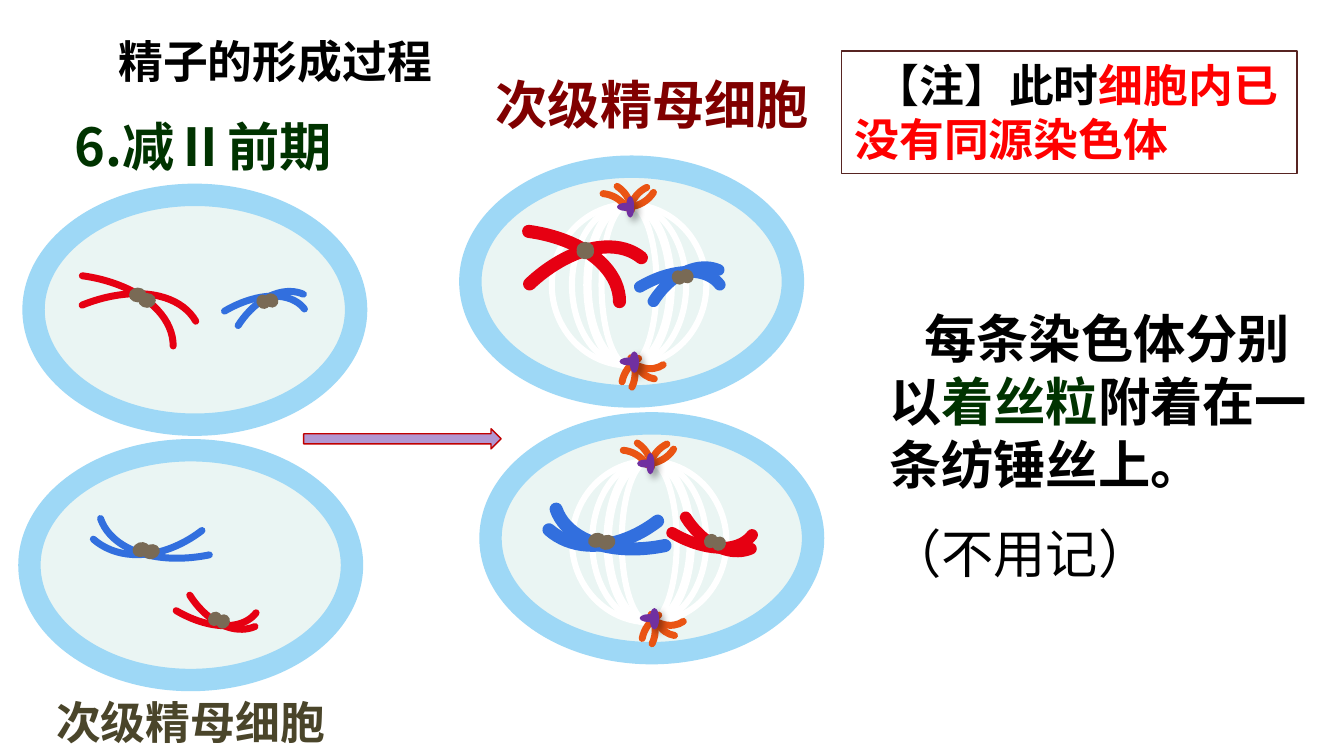
from dataclasses import dataclass

from pptx import Presentation
from pptx.dml.color import RGBColor as RGB
from pptx.enum.shapes import MSO_SHAPE as Preset
from pptx.enum.text import MSO_ANCHOR as Anchor, MSO_AUTO_SIZE as AutoSize, PP_ALIGN as Align
from pptx.oxml import parse_xml
from pptx.oxml.ns import nsdecls, qn
from pptx.util import Pt


@dataclass(frozen=True)
class Theme:
    font: str = "Noto Sans CJK SC"
    small: int = 24
    large: int = 28
    black: str = "000000"
    green: str = "003300"
    olive: str = "4A452A"
    maroon: str = "800000"
    alert: str = "FF0000"
    frame: str = "572422"
    cytoplasm: str = "EAF5F3"
    membrane: str = "9ED8F6"
    fiber: str = "FFFFFF"
    aster: str = "EA5413"
    centriole: str = "7030A0"
    centromere: str = "796A55"
    red: str = "E60012"
    blue: str = "326FDE"
    arrow: str = "B197D2"
    arrow_edge: str = "C00000"


@dataclass(frozen=True)
class Part:
    """A piece placed relative to its owner, in points."""
    x: float
    y: float
    w: float
    h: float
    turn: float = 0
    flip: str = ""
    shadow: bool = False


@dataclass(frozen=True)
class Chromosome:
    """Two chromatid arcs and two centromere dots, measured from the first dot."""
    arms: tuple
    dots: tuple


@dataclass(frozen=True)
class Run:
    text: str
    color: str
    bold: bool = True


T = Theme()
ARM_SPAN = (173.631, 0)
ASTER_SPAN = (165.264, 196.344)
CELL_W, CELL_H = 172.8, 123.1
SPINDLE_X = 85

# Chromosome shapes
LONG_OPEN = Chromosome(
    (Part(-100.1, -7.2, 123.8, 77), Part(-79.9, 10.1, 123.8, 77, 330.4)),
    (Part(0, 0, 9.4, 7.9), Part(5, 2.9, 9.4, 7.9)))
LONG_CROSSED = Chromosome(
    (Part(-100.8, -6.5, 123.8, 77), Part(-66.2, 18, 123.8, 77, 309.1)),
    (Part(0, 0, 9.4, 7.9), Part(0, 1.4, 9.4, 7.9)))
LONG_FLIPPED = Chromosome(
    (Part(-25.9, -72.7, 123.8, 77, 340.8, "hv"), Part(-45.4, -87.1, 112.3, 84.2, 311.2, "hv")),
    (Part(0, 0, 9.4, 7.9, 340.8, "hv"), Part(-5.4, -1.1, 9.4, 7.9, 340.8, "hv")))
SHORT = Chromosome(
    (Part(-56.9, 9.4, 87.1, 51.1, 322.7), Part(-32.4, 9.4, 76.3, 52.6, 293.1)),
    (Part(0, 0, 7.2, 7.9, 322.7), Part(-4.3, 0.7, 7.2, 7.9, 322.7)))
SHORT_FLIPPED = Chromosome(
    (Part(-56.9, -52.6, 87.1, 51.1, 37.3, "v"), Part(-32.4, -54.7, 76.3, 52.6, 66.9, "v")),
    (Part(0, 0, 7.2, 7.9, 37.3, "v"), Part(-4.3, -1.4, 7.2, 7.9, 37.3, "v")))

# Spindle, measured from its cell: (width, line weight), then (rays, centrioles) per pole
FIBERS = ((82.8, 3.25), (61.2, 3.25), (44.6, 4.5), (29.5, 3.25))
POLES = (
    ((Part(80.6, 77.8, 25.9, 31.7, 316.5, "hv"), Part(87.1, 82.1, 25.9, 31.7, 0, "hv"),
      Part(53.3, 93.6, 33.8, 37.4, 52.4), Part(80.6, 100.1, 37.4, 33.8, 332.7, "h")),
     (Part(82.1, 102.2, 11.5, 5, 90, "h", True), Part(79.9, 102.2, 10.1, 4.3, 180, "h"))),
    ((Part(52.6, 14.4, 33.8, 33.8), Part(52.6, 7.9, 33.8, 33.8, 27.3),
      Part(85, 9.4, 33.8, 33.8, 339.4, "h"), Part(67, -12.2, 33.8, 33.8, 0, "v")),
     (Part(79.9, 19.4, 11.5, 4.3, 90, "h", True), Part(78.5, 19.4, 8.6, 4.3, 180, "h"))),
)

# Cells: left, top, has spindle, chromosomes (shape, x, y, color, weight)
CELLS = (
    (18, 104.4, False, ((LONG_OPEN, 69.1, 154.1, T.red, 3.75), (SHORT, 141.8, 157, T.blue, 3.75))),
    (15.8, 241.2, False, ((SHORT_FLIPPED, 115.9, 329, T.red, 3.75),
                          (LONG_FLIPPED, 76.3, 291.6, T.blue, 3.75))),
    (262.8, 226.8, True, ((LONG_FLIPPED, 320.4, 286.6, T.blue, 7),
                          (SHORT_FLIPPED, 381.6, 287.3, T.red, 6.25))),
    (252, 89.3, True, ((LONG_CROSSED, 308.9, 129.6, T.red, 7), (SHORT, 364.3, 144, T.blue, 6.25))),
)


def draw(slide, preset, part: Part, x=0.0, y=0.0, fill=None, line=None, weight=0.75, span=()):
    shape = slide.shapes.add_shape(preset, Pt(x + part.x), Pt(y + part.y), Pt(part.w), Pt(part.h))
    shape.shadow.inherit = False
    shape.rotation = part.turn
    for axis in part.flip:
        shape._element.spPr.xfrm.set("flip" + axis.upper(), "1")
    for index, angle in enumerate(span):
        shape.adjustments[index] = angle
    if fill:
        shape.fill.solid()
        shape.fill.fore_color.rgb = RGB.from_string(fill)
    else:
        shape.fill.background()
    if line:
        shape.line.color.rgb = RGB.from_string(line)
        shape.line.width = Pt(weight)
        if span:
            shape.line._get_or_add_ln().set("cap", "rnd")
    else:
        shape.line.fill.background()
    if part.shadow:
        shape._element.spPr.find(qn("a:effectLst")).append(parse_xml(
            f'<a:outerShdw {nsdecls("a")} blurRad="{Pt(4)}" dist="{Pt(3)}" dir="2700000">'
            f'<a:srgbClr val="{T.black}"><a:alpha val="40000"/></a:srgbClr></a:outerShdw>'))
    return shape


def draw_spindle(slide, x: float, y: float) -> None:
    for width, weight in FIBERS:
        draw(slide, Preset.OVAL, Part(SPINDLE_X - width / 2, 20.2, width, 86.4), x, y,
             line=T.fiber, weight=weight)
    for rays, centrioles in POLES:
        for ray in rays:
            draw(slide, Preset.ARC, ray, x, y, line=T.aster, weight=3.75, span=ASTER_SPAN)
        for centriole in centrioles:
            draw(slide, Preset.OVAL, centriole, x, y, fill=T.centriole)


def draw_chromosome(slide, kind: Chromosome, x: float, y: float, color: str, weight: float) -> None:
    for arm in kind.arms:
        draw(slide, Preset.ARC, arm, x, y, line=color, weight=weight, span=ARM_SPAN)
    for dot in kind.dots:
        draw(slide, Preset.OVAL, dot, x, y, fill=T.centromere)


def write(shape, size: int, *paragraphs: tuple, indent: float = 0, gap: float = 0) -> None:
    frame = shape.text_frame
    frame_format = {"word_wrap": True, "auto_size": AutoSize.NONE, "vertical_anchor": Anchor.TOP,
                    "margin_left": Pt(7.2), "margin_right": Pt(7.2),
                    "margin_top": Pt(3.6), "margin_bottom": Pt(3.6)}
    for name, value in frame_format.items():
        setattr(frame, name, value)
    for number, runs in enumerate(paragraphs):
        para = frame.add_paragraph() if number else frame.paragraphs[0]
        para.alignment = Align.LEFT
        if number:
            para.space_before = Pt(gap)
        elif indent:
            para._p.get_or_add_pPr().set("indent", str(Pt(indent)))
        for piece in runs:
            run = para.add_run()
            run.text = piece.text
            for name, value in {"name": T.font, "size": Pt(size), "bold": piece.bold}.items():
                setattr(run.font, name, value)
            run.font.color.rgb = RGB.from_string(piece.color)
            run._r.rPr.append(parse_xml(f'<a:ea {nsdecls("a")} typeface="{T.font}"/>'))


def main() -> None:
    deck = Presentation()
    deck.slide_width, deck.slide_height = Pt(720), Pt(405)
    slide = deck.slides.add_slide(deck.slide_layouts[5])

    # Title
    title = slide.shapes.title
    for name, value in {"left": 56.2, "top": 14.4, "width": 213, "height": 36}.items():
        setattr(title, name, Pt(value))
    write(title, T.small, (Run("精子的形成过程", T.black),))

    # Stage and cell labels
    for text, color, size, x, y, w in (
            ("6.减Ⅱ前期", T.green, T.large, 33.1, 57.6, 168.5),
            ("次级精母细胞", T.olive, T.small, 23, 368.6, 184.3),
            ("次级精母细胞", T.maroon, T.large, 258.5, 35.3, 184.3)):
        label = slide.shapes.add_textbox(Pt(x), Pt(y), Pt(w), Pt(size * 1.2 + 7.2))
        write(label, size, (Run(text, color),))

    # Arrow and cells
    draw(slide, Preset.RIGHT_ARROW, Part(162.7, 229.7, 105.8, 10.8), fill=T.arrow, line=T.arrow_edge)
    for x, y, has_spindle, chromosomes in CELLS:
        draw(slide, Preset.OVAL, Part(0, 0, CELL_W, CELL_H), x, y, T.cytoplasm, T.membrane, 12)
        if has_spindle:
            draw_spindle(slide, x, y)
        for chromosome in chromosomes:
            draw_chromosome(slide, *chromosome)

    # Explanation and framed note
    explanation = slide.shapes.add_textbox(Pt(469.4), Pt(160.6), Pt(239.8), Pt(159.8))
    write(explanation, T.large,
          (Run("每条染色体分别以", T.black), Run("着丝粒", T.green), Run("附着在一条纺锤丝上。", T.black)),
          (Run("（不用记）", T.black, False),), indent=18.8, gap=14)
    note = draw(slide, Preset.RECTANGLE, Part(450.7, 27.4, 244.1, 65.5), line=T.frame)
    write(note, T.small, (Run("【注】此时", T.black), Run("细胞内已没有同源染色体", T.alert)), indent=10.8)

    deck.save("out.pptx")


if __name__ == "__main__":
    main()
